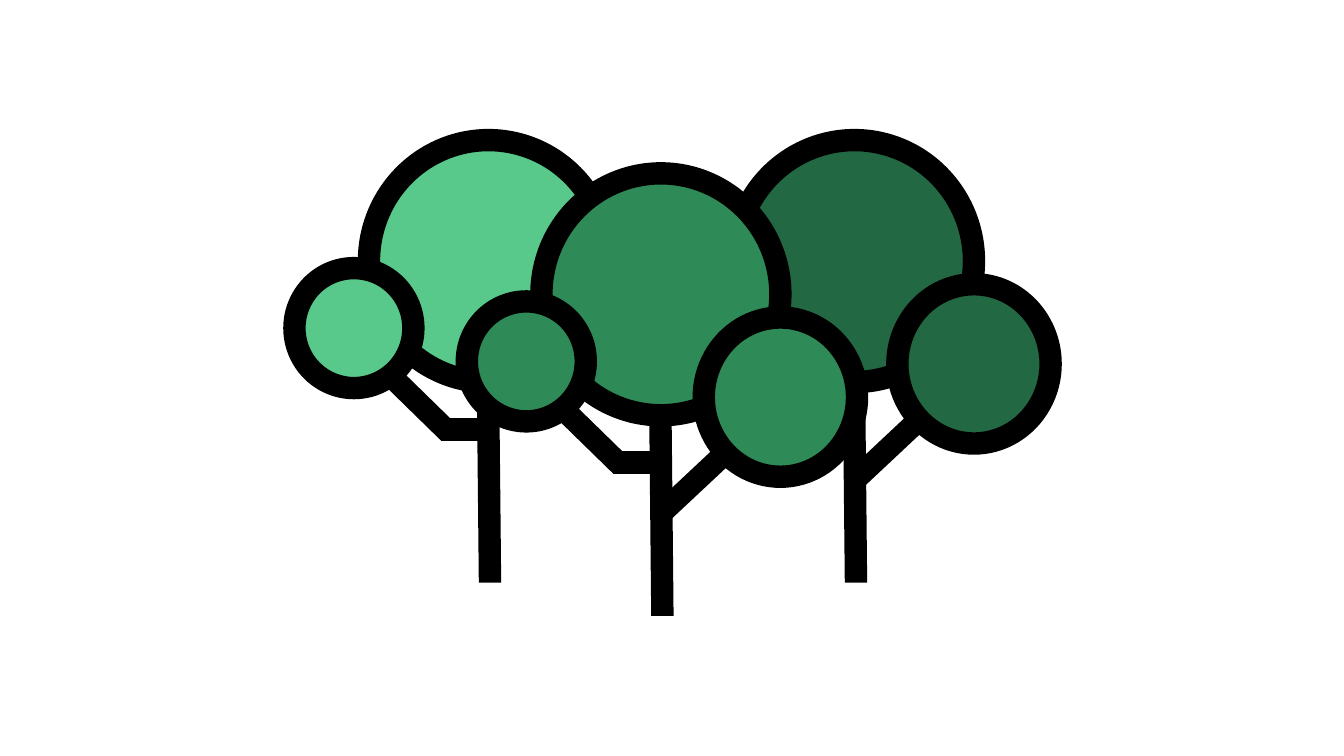
from pptx import Presentation
from pptx.dml.color import RGBColor
from pptx.enum.shapes import MSO_CONNECTOR, MSO_SHAPE
from pptx.oxml.ns import qn
from pptx.util import Inches, Pt
from lxml.etree import SubElement

BLACK = RGBColor(0x00, 0x00, 0x00)
DARK_GREEN = RGBColor(0x22, 0x68, 0x42)
MID_GREEN = RGBColor(0x2E, 0x8B, 0x57)
LIGHT_GREEN = RGBColor(0x58, 0xC8, 0x8B)
OUTLINE = Pt(16)

# Trees from back to front: crown left, crown top, colour, has a right branch
TREES = [
    (7.29, 1.39, DARK_GREEN, True),
    (3.66, 1.39, LIGHT_GREEN, False),
    (5.37, 1.72, MID_GREEN, True),
]

# Parts of a tree, measured from the top left of its crown
CROWN = (0, 0, 2.37, 2.4)
RIGHT_LEAVES = (1.61, 1.43, 1.52, 1.58)
LEFT_LEAVES = (-0.74, 1.27, 1.18, 1.19)
TRUNK = (1.2, 4.39, 1.18, 2.4)
RIGHT_BRANCH = (1.19, 3.37, 1.83, 2.77)
LEFT_BRANCH = [(0.71, 2.87, 1.19, 2.87), (0.79, 2.9, -0.1, 2.03)]


def add_leaves(group, left, top, oval, color):
    x, y, width, height = oval
    shape = group.shapes.add_shape(
        MSO_SHAPE.OVAL, Inches(left + x), Inches(top + y),
        Inches(width), Inches(height))
    shape.shadow.inherit = False
    shape.fill.solid()
    shape.fill.fore_color.rgb = color
    shape.line.color.rgb = BLACK
    shape.line.width = OUTLINE


def add_wood(group, left, top, ends):
    x1, y1, x2, y2 = ends
    connector = group.shapes.add_connector(
        MSO_CONNECTOR.STRAIGHT, Inches(left + x1), Inches(top + y1),
        Inches(left + x2), Inches(top + y2))
    connector.line.color.rgb = BLACK
    connector.line.width = OUTLINE
    SubElement(connector._element.spPr, qn("a:effectLst"))


presentation = Presentation()
presentation.slide_width = Inches(13.33)
presentation.slide_height = Inches(7.5)
slide = presentation.slides.add_slide(presentation.slide_layouts[6])

# One group per tree
for left, top, color, has_right_branch in TREES:
    tree = slide.shapes.add_group_shape()
    add_leaves(tree, left, top, CROWN, color)
    if has_right_branch:
        add_leaves(tree, left, top, RIGHT_LEAVES, color)
    add_wood(tree, left, top, TRUNK)
    if has_right_branch:
        add_wood(tree, left, top, RIGHT_BRANCH)
    for ends in LEFT_BRANCH:
        add_wood(tree, left, top, ends)
    # The small leaves of the dark tree are the colour of the tree before it
    small_color = MID_GREEN if color == DARK_GREEN else color
    add_leaves(tree, left, top, LEFT_LEAVES, small_color)

presentation.save("out.pptx")
